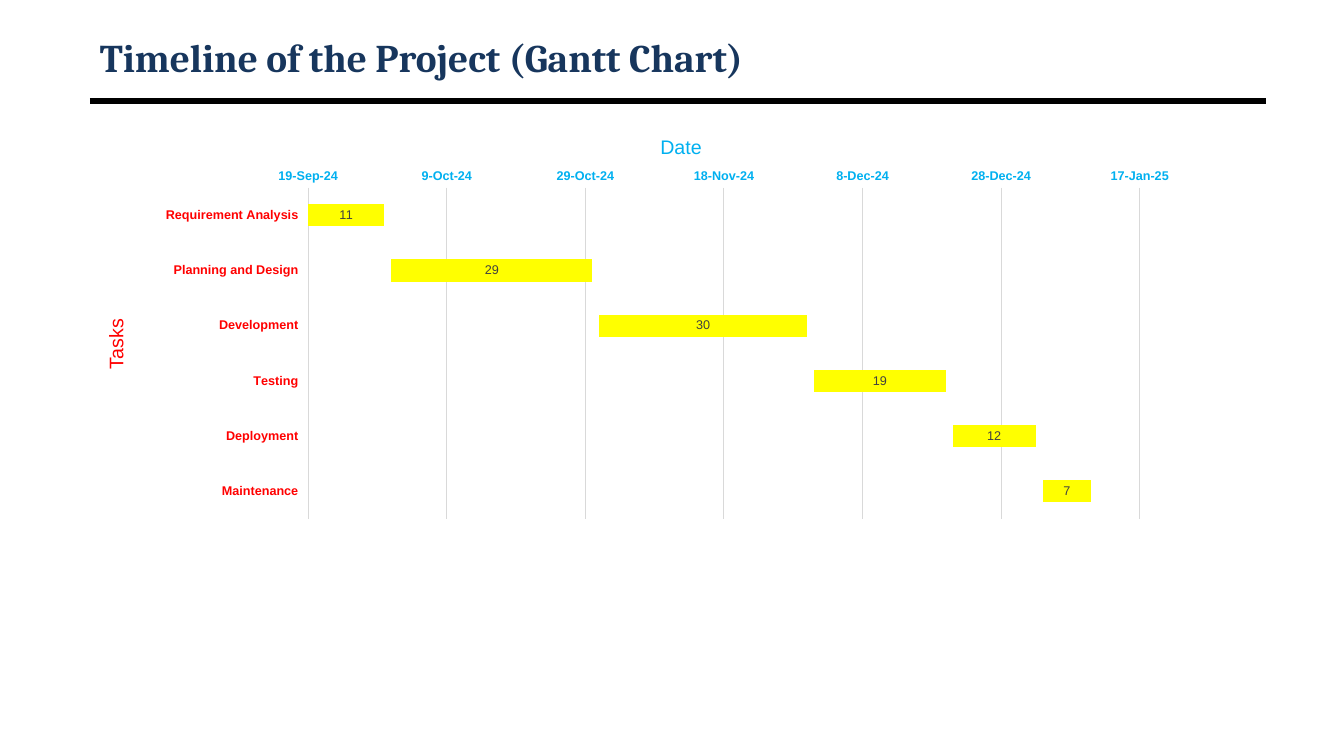
from dataclasses import dataclass

from lxml.etree import SubElement
from pptx import Presentation
from pptx.chart.data import CategoryChartData
from pptx.dml.color import RGBColor
from pptx.enum.chart import XL_CHART_TYPE, XL_LABEL_POSITION, XL_TICK_LABEL_POSITION, XL_TICK_MARK
from pptx.enum.shapes import MSO_CONNECTOR
from pptx.enum.text import MSO_ANCHOR, MSO_AUTO_SIZE, PP_ALIGN
from pptx.oxml import parse_xml
from pptx.oxml.ns import nsdecls, qn
from pptx.util import Inches, Pt

NAVY = RGBColor(0x17, 0x36, 0x5D)
BLACK = RGBColor(0, 0, 0)
BLUE = RGBColor(0, 0xB0, 0xF0)
RED = RGBColor(0xFF, 0, 0)
YELLOW = RGBColor(0xFF, 0xFF, 0)
GRID = RGBColor(0xD9, 0xD9, 0xD9)
LABEL = RGBColor(0x40, 0x40, 0x40)
WIDTH, HEIGHT = Inches(13.33), Inches(7.5)


@dataclass(frozen=True)
class Task:
    """A bar of the plan: start as a date serial, length in days."""
    name: str
    start: int
    days: int


@dataclass(frozen=True)
class Box:
    """A frame in percent of the slide's size."""
    left: float
    top: float
    width: float
    height: float

    def emu(self) -> tuple[int, int, int, int]:
        """Return left, top, width and height as lengths."""
        return (int(WIDTH * self.left / 100), int(HEIGHT * self.top / 100),
                int(WIDTH * self.width / 100), int(HEIGHT * self.height / 100))


TASKS = [
    Task("Requirement Analysis", 45554, 11),
    Task("Planning and Design", 45566, 29),
    Task("Development", 45596, 30),
    Task("Testing", 45627, 19),
    Task("Deployment", 45647, 12),
    Task("Maintenance", 45660, 7),
]
TITLE_BOX = Box(6.68, 4, 87.55, 7.07)
RULE_BOX = Box(6.68, 13.33, 87.55, 0)
DATE_BOX = Box(22.73, 17.2, 54.61, 8.53)
CHART_BOX = Box(11.33, 21.47, 77.34, 48.13)
TASKS_BOX = Box(7.35, 33.2, 3.3, 24.67)
PLOT_SHARES = {"x": 0.15, "y": 0.07, "w": 0.82, "h": 0.91}


def style_font(font, name: str, size: float, color: RGBColor, bold: bool = False) -> None:
    """Set typeface, size, colour and weight."""
    font.name, font.size, font.bold = name, Pt(size), bold
    font.color.rgb = color


def fill_text(shape, text: str, name: str, size: float, color: RGBColor,
              align: PP_ALIGN, bold: bool = False):
    """Write one formatted paragraph and return it."""
    tf = shape.text_frame
    tf.text = text
    tf.word_wrap = True
    tf.auto_size = MSO_AUTO_SIZE.NONE
    p = tf.paragraphs[0]
    p.alignment = align
    p.space_before = Pt(0)
    style_font(p.runs[0].font, name, size, color, bold)
    return p


def place(shape, box: Box) -> None:
    """Move and size a shape."""
    shape.left, shape.top, shape.width, shape.height = box.emu()


def add_rule(s) -> None:
    """Draw the heavy line under the title."""
    x, y, w, h = RULE_BOX.emu()
    rule = s.shapes.add_connector(MSO_CONNECTOR.STRAIGHT, x, y, x + w, y + h)
    rule.line.color.rgb = BLACK
    rule.line.width = Pt(4.5)
    SubElement(rule._element.spPr, qn("a:effectLst"))


def style_axis(axis, color: RGBColor) -> None:
    """Format the tick labels and drop the tick marks."""
    axis.major_tick_mark = axis.minor_tick_mark = XL_TICK_MARK.NONE
    style_font(axis.tick_labels.font, "Arial", 9, color, True)


def fix_plot_area(chart) -> None:
    """Pin the inner plot area to shares of the chart frame."""
    area = chart._chartSpace.chart.plotArea
    for old in area.findall(qn("c:layout")):
        area.remove(old)
    modes = "".join(f'<c:{k}Mode val="edge"/>' for k in "xy")
    sizes = "".join(f'<c:{k} val="{v}"/>' for k, v in PLOT_SHARES.items())
    area.insert(0, parse_xml(
        f'<c:layout {nsdecls("c")}><c:manualLayout><c:layoutTarget val="inner"/>'
        f"{modes}{sizes}</c:manualLayout></c:layout>"))


def add_gantt(s) -> None:
    """Draw the tasks as stacked bars on hidden start bars."""
    data = CategoryChartData()
    data.categories = [t.name for t in TASKS]
    data.add_series("Series 1", [t.start for t in TASKS])
    data.add_series("Series 2", [t.days for t in TASKS])
    chart = s.shapes.add_chart(XL_CHART_TYPE.BAR_STACKED, *CHART_BOX.emu(), data).chart
    chart.has_legend = chart.has_title = False
    style_font(chart.font, "Arial", 10, BLACK)
    fix_plot_area(chart)

    cat = chart.category_axis
    style_axis(cat, RED)
    cat.reverse_order = True
    cat.tick_label_position = XL_TICK_LABEL_POSITION.LOW
    cat.has_major_gridlines = False
    val = chart.value_axis
    style_axis(val, BLUE)
    val.minimum_scale, val.maximum_scale, val.major_unit = 45554, 45677, 20
    val.tick_labels.number_format = r"d\-mmm\-yy"
    val.tick_labels.number_format_is_linked = False
    val.format.line.fill.background()
    val.has_major_gridlines = True
    for line in (cat.format.line, val.major_gridlines.format.line):
        line.color.rgb = GRID
        line.width = Pt(0.75)

    plot = chart.plots[0]
    plot.gap_width, plot.overlap, plot.vary_by_categories = 150, 100, False
    starts, days = plot.series
    starts.format.fill.background()
    starts.format.line.fill.background()
    days.format.fill.solid()
    days.format.fill.fore_color.rgb = YELLOW
    labels = days.data_labels
    labels.show_value = True
    labels.position = XL_LABEL_POSITION.CENTER
    style_font(labels.font, "Arial", 9, LABEL)


def main() -> None:
    """Build and save the slide."""
    prs = Presentation()
    prs.slide_width, prs.slide_height = WIDTH, HEIGHT
    s = prs.slides.add_slide(prs.slide_layouts[1])
    title, body = s.shapes.title, s.placeholders[1]

    add_rule(s)
    place(title, TITLE_BOX)
    fill_text(title, "Timeline of the Project (Gantt Chart)", "Cambria", 28, NAVY,
              PP_ALIGN.LEFT, True)
    title.text_frame.vertical_anchor = MSO_ANCHOR.MIDDLE

    place(body, DATE_BOX)
    p = fill_text(body, "Date", "Arial", 14, BLUE, PP_ALIGN.CENTER)
    pPr = p._p.get_or_add_pPr()
    pPr.set("marL", str(Inches(0.38)))
    pPr.set("indent", str(Inches(-0.21)))
    SubElement(pPr, qn("a:buNone"))

    add_gantt(s)
    tb = s.shapes.add_textbox(*TASKS_BOX.emu())
    fill_text(tb, "Tasks", "Arial", 14, RED, PP_ALIGN.CENTER)
    tb.text_frame._txBody.bodyPr.set("vert", "vert270")
    prs.save("out.pptx")


if __name__ == "__main__":
    main()
